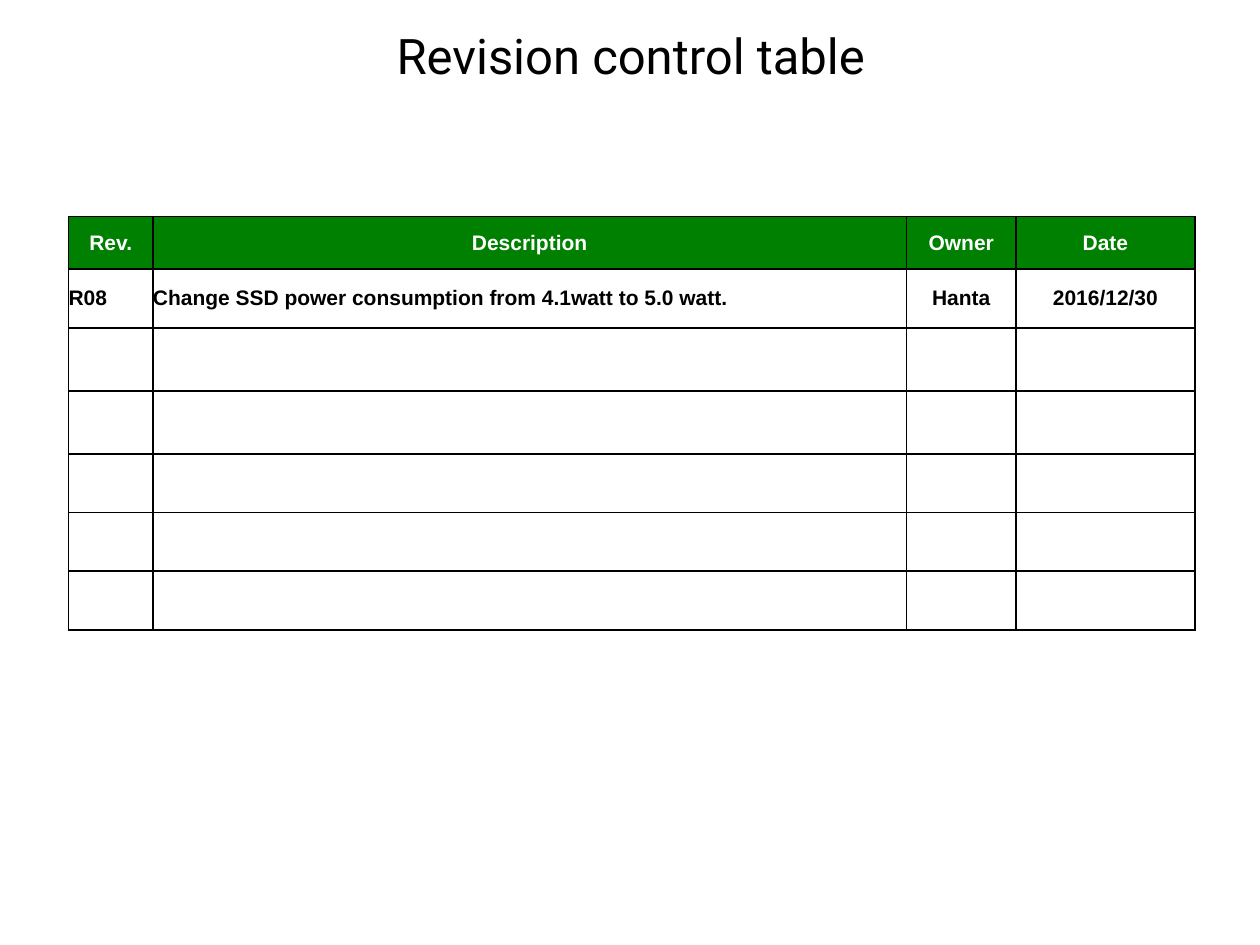
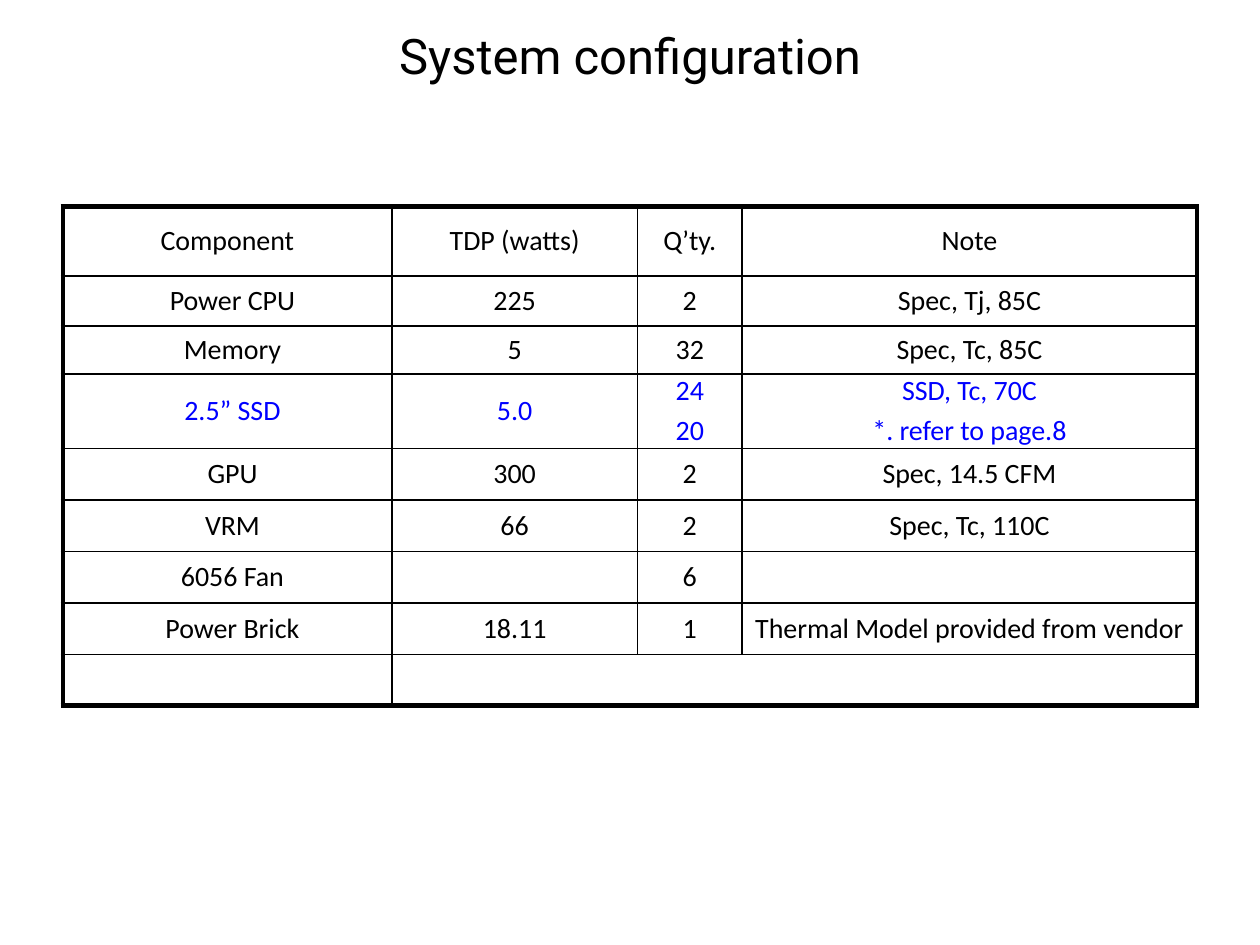
from lxml import etree
from pptx import Presentation
from pptx.dml.color import RGBColor
from pptx.enum.text import MSO_ANCHOR, PP_ALIGN
from pptx.oxml.ns import qn
from pptx.util import Pt

CENTER, LEFT = PP_ALIGN.CENTER, PP_ALIGN.LEFT
MIDDLE = MSO_ANCHOR.MIDDLE
BLACK = RGBColor(0x00, 0x00, 0x00)
WHITE = RGBColor(0xFF, 0xFF, 0xFF)
GREEN = RGBColor(0x00, 0x80, 0x00)
BLUE = RGBColor(0x00, 0x00, 0xFF)
TITLE_ONLY = 5
THIN, THICK = 1, 3

REVISION_WIDTHS = [48.2, 430.6, 62.6, 102.3]
REVISION_HEIGHTS = [30, 33.6, 36, 36, 33.6, 33.4, 33.6]
REVISIONS = [
    ["Rev.", "Description", "Owner", "Date"],
    ["R08", "Change SSD power consumption from 4.1watt to 5.0 watt.", "Hanta", "2016/12/30"],
]

CONFIG_WIDTHS = [187.9, 140.4, 59.8, 259.9]
CONFIG_HEIGHTS = [39.6, 28.8, 27.4, 42.5] + [29.4] * 5
CONFIGURATION = [
    ["Component", "TDP (watts)", "Q’ty.", "Note"],
    ["Power CPU", "225", "2", "Spec, Tj, 85C"],
    ["Memory", "5", "32", "Spec, Tc, 85C"],
    ["2.5” SSD", "5.0", "24\n20", "SSD, Tc, 70C\n*. refer to page.8"],
    ["GPU", "300", "2", "Spec, 14.5 CFM"],
    ["VRM", "66", "2", "Spec, Tc, 110C"],
    ["6056 Fan", "", "6", ""],
    ["Power Brick", "18.11", "1", "Thermal Model provided from vendor"],
]
CHANGED_ROW = 3


def write(frame, text, *, font, size, color=BLACK, bold=False, align=CENTER, gap=0):
    for index, line in enumerate(text.split("\n")):
        paragraph = frame.add_paragraph() if index else frame.paragraphs[0]
        paragraph.alignment = align
        paragraph.space_before = Pt(gap if index else 0)
        run = paragraph.add_run()
        run.text = line
        run.font.name = font
        run.font.size = Pt(size)
        run.font.bold = bold
        run.font.color.rgb = color


def add_titled_slide(deck, text, left, width):
    slide = deck.slides.add_slide(deck.slide_layouts[TITLE_ONLY])
    title = slide.shapes.title
    title.left, title.top = Pt(left), Pt(10.8)
    title.width, title.height = Pt(width), Pt(41.4)
    title.text_frame.vertical_anchor = MIDDLE
    write(title.text_frame, text, font="Roboto", size=28)
    return slide


def set_borders(cell, widths):
    properties = cell._tc.get_or_add_tcPr()
    for index, (side, width) in enumerate(zip("LRTB", widths)):
        line = etree.Element(qn(f"a:ln{side}"), w=str(Pt(width)))
        fill = etree.SubElement(line, qn("a:solidFill"))
        etree.SubElement(fill, qn("a:srgbClr"), val=str(BLACK))
        properties.insert(index, line)


def add_grid(slide, left, top, widths, heights, outline):
    frame = slide.shapes.add_table(len(heights), len(widths), Pt(left), Pt(top),
                                   Pt(sum(widths)), Pt(sum(heights)))
    grid = frame.table
    grid.first_row = grid.horz_banding = False
    for column, width in zip(grid.columns, widths):
        column.width = Pt(width)
    for row, height in zip(grid.rows, heights):
        row.height = Pt(height)
    last_row, last_column = len(heights) - 1, len(widths) - 1
    for r in range(len(heights)):
        for c in range(len(widths)):
            cell = grid.cell(r, c)
            cell.fill.background()
            cell.vertical_anchor = MIDDLE
            cell.margin_left = cell.margin_right = 0
            cell.margin_top = cell.margin_bottom = 0
            outer = (c == 0, c == last_column, r == 0, r == last_row)
            set_borders(cell, [outline if edge else THIN for edge in outer])
    return grid


def fill_grid(grid, rows, cell_style, **text_format):
    for r, row in enumerate(rows):
        for c, text in enumerate(row):
            if text:
                write(grid.cell(r, c).text_frame, text, **text_format, **cell_style(r, c))


def revision_style(row, column):
    if row == 0:
        return {"color": WHITE}
    return {"align": LEFT if column < 2 else CENTER}


def configuration_style(row, column):
    return {"color": BLUE if row == CHANGED_ROW else BLACK}


def add_revision_slide(deck):
    slide = add_titled_slide(deck, "Revision control table", 36, 648.8)
    revisions = add_grid(slide, 39.2, 123.8, REVISION_WIDTHS, REVISION_HEIGHTS, THIN)
    for column in range(len(REVISION_WIDTHS)):
        heading = revisions.cell(0, column)
        heading.fill.solid()
        heading.fill.fore_color.rgb = GREEN
    fill_grid(revisions, REVISIONS, revision_style, font="Arial", size=12, bold=True)


def add_configuration_slide(deck):
    slide = add_titled_slide(deck, "System configuration", 0, 720)
    components = add_grid(slide, 36, 118, CONFIG_WIDTHS, CONFIG_HEIGHTS, THICK)
    for row in range(1, len(CONFIGURATION)):
        components.cell(row, 0).margin_left = Pt(5.8)
    last = len(CONFIG_HEIGHTS) - 1
    remark = components.cell(last, 1)
    remark.merge(components.cell(last, 3))
    remark._tc.tcPr.find(qn("a:lnR")).set("w", str(Pt(THICK)))
    fill_grid(components, CONFIGURATION, configuration_style, font="Calibri", size=16, gap=3.2)


def main():
    deck = Presentation()
    deck.slide_width, deck.slide_height = Pt(720), Pt(540)
    add_revision_slide(deck)
    add_configuration_slide(deck)
    deck.save("out.pptx")


if __name__ == "__main__":
    main()
